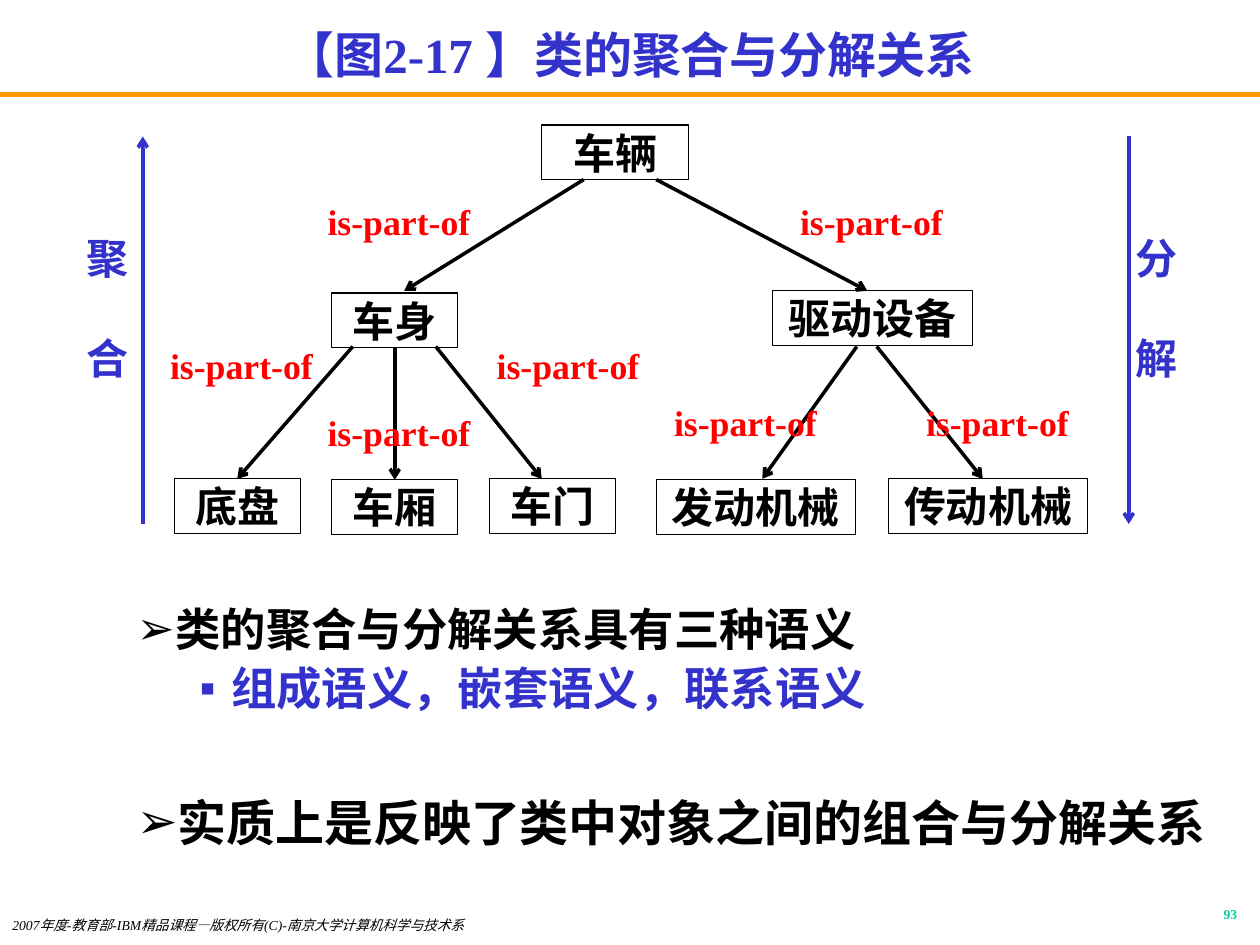
from dataclasses import dataclass

from lxml import etree
from pptx import Presentation
from pptx import util as u
from pptx.dml.color import RGBColor
from pptx.enum import shapes, text
from pptx.oxml import ns

PX = u.Inches(1) // 120
BLUE = RGBColor(0x33, 0x33, 0xCC)
ORANGE = RGBColor(0xFF, 0x99, 0x00)
RED = RGBColor(0xFF, 0x00, 0x00)
GREEN = RGBColor(0x00, 0xCC, 0x99)
BLACK = RGBColor(0x00, 0x00, 0x00)
WHITE = RGBColor(0xFF, 0xFF, 0xFF)
SERIF = "Times New Roman"
SANS = "Noto Sans CJK SC"
ALIGN = text.PP_ALIGN
TOP, BOTTOM = 0, 2


@dataclass
class ClassBox:
    name: str
    left: int
    top: int
    width: int = 120
    height: int = 52


@dataclass
class Arrow:
    start: tuple[int, int]
    end: tuple[int, int]
    color: RGBColor = BLACK
    parent: str = ""  # joined at the middle of its bottom side
    child: str = ""  # joined at the middle of its top side


@dataclass
class Direction:
    characters: str
    left: int
    arrow: Arrow


CLASSES = [
    ClassBox("车辆", 516, 119, 140),
    ClassBox("车身", 316, 279),
    ClassBox("驱动设备", 736, 277, 190),
    ClassBox("车厢", 316, 457),
    ClassBox("底盘", 166, 456),
    ClassBox("车门", 466, 456),
    ClassBox("传动机械", 846, 456, 190),
    ClassBox("发动机械", 625, 457, 190),
]
PARTS = [
    Arrow((556, 171), (385, 277)),
    Arrow((625, 171), (826, 277)),
    Arrow((336, 330), (226, 456), child="底盘"),
    Arrow((376, 331), (376, 457), parent="车身", child="车厢"),
    Arrow((415, 330), (516, 456)),
    Arrow((835, 330), (936, 456)),
    Arrow((816, 330), (726, 456)),
]
PART_LABELS = [(295, 193), (745, 193), (145, 330), (295, 394),
               (456, 330), (625, 384), (865, 384)]
DIRECTIONS = [
    Direction("聚合", 71, Arrow((136, 499), (136, 130), BLUE)),
    Direction("分解", 1070, Arrow((1075, 130), (1075, 499), BLUE)),
]


def place(shape, left: int, top: int, width: int, height: int) -> None:
    shape.left, shape.top = left * PX, top * PX
    shape.width, shape.height = width * PX, height * PX


def write(frame, words: str, *, size: float, color=BLACK, font=SERIF, bold=True,
          italic=False, align=ALIGN.LEFT, spacing=1.0, before=0, bullet="",
          level=0, margin=0.0, hanging=0.0, append=False):
    """Write one paragraph into a text frame with its whole format."""
    paragraph = frame.add_paragraph() if append else frame.paragraphs[0]
    paragraph.level = level
    properties = paragraph._p.get_or_add_pPr()
    properties.set("marL", str(u.Inches(margin)))
    properties.set("indent", str(-u.Inches(hanging)))
    if bullet:
        bullet_color = etree.SubElement(properties, ns.qn("a:buClr"))
        etree.SubElement(bullet_color, ns.qn("a:srgbClr"), val=str(color))
        etree.SubElement(properties, ns.qn("a:buChar"), char=bullet)
    else:
        etree.SubElement(properties, ns.qn("a:buNone"))
    paragraph.alignment = align
    paragraph.line_spacing = spacing
    paragraph.space_before = u.Pt(before)
    run = paragraph.add_run()
    run.text = words
    run.font.name, run.font.size = font, u.Pt(size)
    run.font.bold, run.font.italic = bold, italic
    run.font.color.rgb = color


def prepare(frame, anchor=text.MSO_ANCHOR.TOP, inset: bool = True):
    frame.word_wrap = True
    frame.auto_size = text.MSO_AUTO_SIZE.NONE
    frame.vertical_anchor = anchor
    frame.margin_left = frame.margin_right = u.Inches(0.1 if inset else 0)
    frame.margin_top = frame.margin_bottom = u.Inches(0.05 if inset else 0)
    return frame


def add_text_box(slide, left: int, top: int, width: int, height: int, **layout):
    box = slide.shapes.add_textbox(left * PX, top * PX, width * PX, height * PX)
    return prepare(box.text_frame, **layout)


def add_class(slide, box: ClassBox):
    shape = slide.shapes.add_shape(shapes.MSO_SHAPE.RECTANGLE, 0, 0, 0, 0)
    place(shape, box.left, box.top, box.width, box.height)
    shape.shadow.inherit = False
    shape.fill.solid()
    shape.fill.fore_color.rgb = WHITE
    shape.line.color.rgb = BLACK
    shape.line.width = u.Pt(0.75)
    frame = prepare(shape.text_frame, text.MSO_ANCHOR.MIDDLE, inset=False)
    write(frame, box.name, size=24, font=SANS, align=ALIGN.CENTER)
    return shape


def add_line(slide, start: tuple[int, int], end: tuple[int, int],
             color: RGBColor, width: float):
    line = slide.shapes.add_connector(
        shapes.MSO_CONNECTOR.STRAIGHT, *(value * PX for value in start + end))
    line.line.color.rgb = color
    line.line.width = u.Pt(width)
    etree.SubElement(line._element.spPr, ns.qn("a:effectLst"))
    return line


def add_arrow(slide, arrow: Arrow, boxes: dict) -> None:
    line = add_line(slide, arrow.start, arrow.end, arrow.color, 2)
    etree.SubElement(line.line._get_or_add_ln(), ns.qn("a:tailEnd"), type="arrow")
    if arrow.parent:
        line.begin_connect(boxes[arrow.parent], BOTTOM)
    if arrow.child:
        line.end_connect(boxes[arrow.child], TOP)


def add_direction(slide, direction: Direction) -> None:
    add_arrow(slide, direction.arrow, {})
    frame = add_text_box(slide, direction.left, 216, 75, 209)
    for index, character in enumerate(direction.characters):
        write(frame, character, size=24, color=BLUE, align=ALIGN.JUSTIFY,
              before=28 * index, append=index > 0)


def main() -> None:
    presentation = Presentation()
    presentation.slide_width, presentation.slide_height = 1200 * PX, 900 * PX
    slide = presentation.slides.add_slide(presentation.slide_layouts[3])
    title, semantics, essence = slide.placeholders

    # Title and rule
    place(title, 0, 6, 1200, 85)
    write(prepare(title.text_frame), "【图2-17 】类的聚合与分解关系", size=28,
          color=BLUE, align=ALIGN.CENTER, spacing=1.2, margin=0.38, hanging=0.38)
    add_line(slide, (0, 90), (1200, 90), ORANGE, 3)

    # Class tree
    boxes = {box.name: add_class(slide, box) for box in CLASSES}
    for arrow in PARTS:
        add_arrow(slide, arrow, boxes)
    for left, top in PART_LABELS:
        frame = add_text_box(slide, left, top, 170, 41,
                             anchor=text.MSO_ANCHOR.MIDDLE, inset=False)
        write(frame, "is-part-of", size=20.4, color=RED, align=ALIGN.CENTER,
              spacing=0.9)
    for direction in DIRECTIONS:
        add_direction(slide, direction)

    # Bulleted statements
    place(semantics, 58, 572, 1110, 130)
    frame = prepare(semantics.text_frame)
    write(frame, "类的聚合与分解关系具有三种语义", size=25.9, spacing=0.9,
          bullet="➢", level=1, margin=0.81, hanging=0.31)
    write(frame, "组成语义，嵌套语义，联系语义", size=25.9, color=BLUE, spacing=0.9,
          before=6, bullet="▪", level=2, margin=1.25, hanging=0.25, append=True)
    place(essence, 58, 743, 1110, 90)
    write(prepare(essence.text_frame), "实质上是反映了类中对象之间的组合与分解关系",
          size=28, spacing=1.1, bullet="➢", level=1, margin=0.81, hanging=0.31)

    # Footer and page number
    write(add_text_box(slide, 0, 870, 660, 30),
          "2007年度-教育部-IBM精品课程—版权所有(C)-南京大学计算机科学与技术系",
          size=7.8, bold=False, italic=True, spacing=0.8)
    write(add_text_box(slide, 940, 860, 250, 30), "93", size=7.7, color=GREEN,
          align=ALIGN.RIGHT, spacing=0.8)

    presentation.save("out.pptx")


if __name__ == "__main__":
    main()
